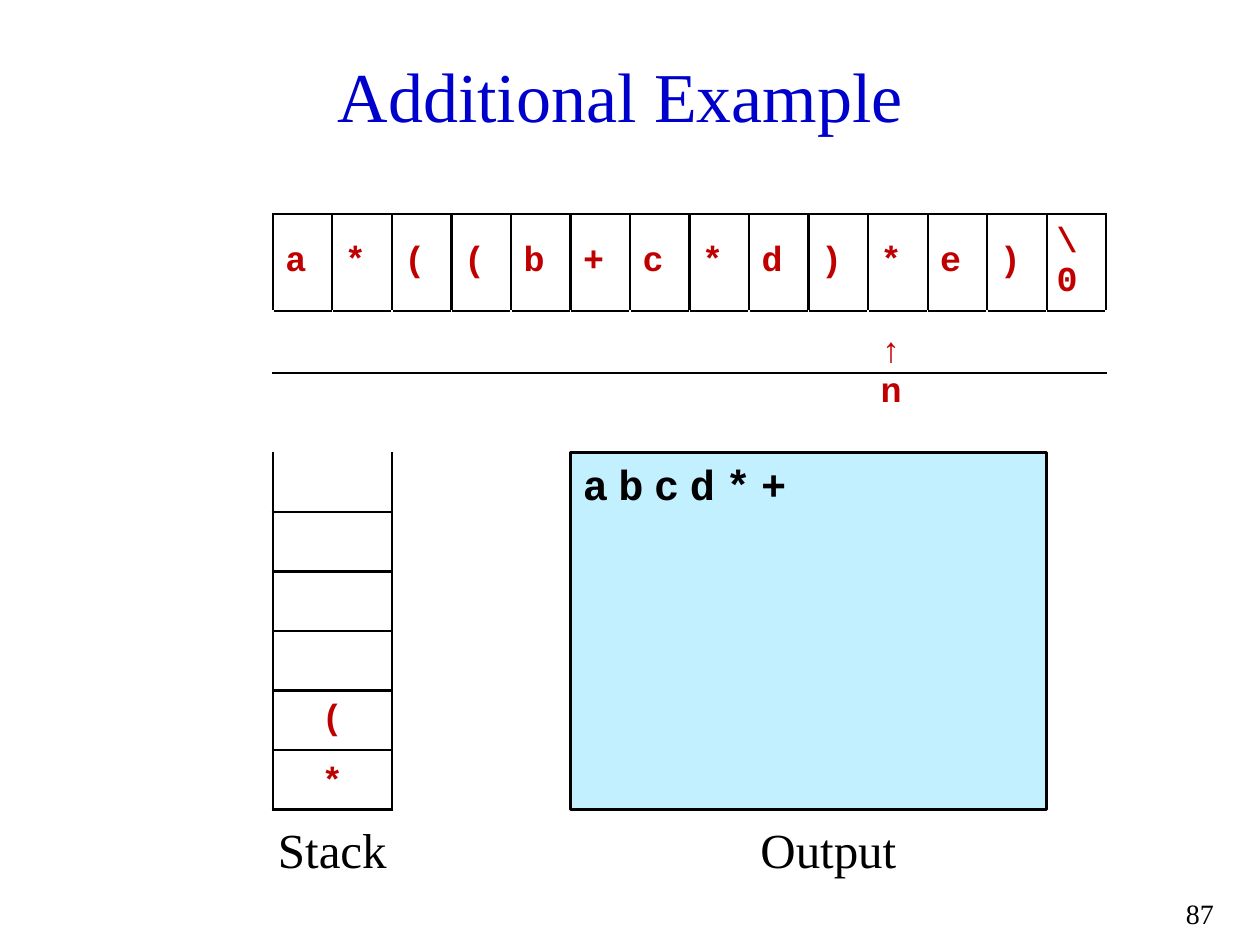
from lxml.etree import SubElement
from pptx import Presentation
from pptx.dml.color import RGBColor
from pptx.enum.shapes import MSO_SHAPE
from pptx.enum.text import MSO_ANCHOR, PP_ALIGN
from pptx.oxml.ns import qn
from pptx.util import Inches, Pt

PX = 7200  # EMU per px, 127 px to the inch
CELL = 60
LEFT, STACK_TOP = 275, 456
SERIF, MONO = "Times New Roman", "Courier New"
BLACK, RED = "000000", "C00000"


def add_text(tf, text, size, font, color, bold=False, align=PP_ALIGN.LEFT,
             anchor=MSO_ANCHOR.TOP):
    tf.word_wrap = True
    tf.vertical_anchor = anchor
    p = tf.paragraphs[0]
    p.alignment = align
    r = p.add_run()
    r.text = text
    r.font.size, r.font.name, r.font.bold = Pt(size), font, bold
    r.font.color.rgb = RGBColor.from_string(color)
    return r


def add_grid(rows, cols, x, y, w, h, borders):
    """Add a plain table; borders gives the ruled sides for a row number."""
    s = shapes.add_table(rows, cols, x * PX, y * PX, w * PX, h * PX)
    table = s.table
    table.first_row = table.horz_banding = False
    for i in range(rows):
        for j in range(cols):
            cell = table.cell(i, j)
            tcPr = cell._tc.get_or_add_tcPr()
            for side in borders(i):
                ln = SubElement(tcPr, qn(f"a:ln{side}"), w=str(Pt(1.5)))
                fill = SubElement(ln, qn("a:solidFill"))
                SubElement(fill, qn("a:srgbClr"), val=BLACK)
            cell.fill.background()
    return table


prs = Presentation()
prs.slide_width, prs.slide_height = Inches(10), Inches(7.5)
slide = prs.slides.add_slide(prs.slide_layouts[5])
shapes = slide.shapes

# Title
title = shapes.title
title.left, title.top, title.width, title.height = (v * PX for v in (34, 36, 1200, 119))
add_text(title.text_frame, "Additional Example ", 40, SERIF, "0000CC",
         align=PP_ALIGN.CENTER, anchor=MSO_ANCHOR.MIDDLE)

# Stack, open at the top
stack = add_grid(6, 1, LEFT, STACK_TOP, 2 * CELL, 6 * CELL,
                 lambda i: "LRTB" if i else "LRB")
for row, symbol, anchor in ((4, "(", MSO_ANCHOR.MIDDLE), (5, "*", MSO_ANCHOR.BOTTOM)):
    cell = stack.cell(row, 0)
    add_text(cell.text_frame, symbol, 20, MONO, RED, True, PP_ALIGN.CENTER)
    cell.vertical_anchor = anchor

# Output panel
s = shapes.add_shape(MSO_SHAPE.RECTANGLE, (LEFT + 5 * CELL) * PX, STACK_TOP * PX,
                     8 * CELL * PX, 6 * CELL * PX)
s.shadow.inherit = False
s.fill.solid()
s.fill.fore_color.rgb = RGBColor.from_string("C2F0FF")
s.line.color.rgb = RGBColor.from_string(BLACK)
s.line.width = Pt(1.5)
r = add_text(s.text_frame, "abcd*+", 24, MONO, BLACK, True)
r.font._element.set("spc", "600")

# Captions and page number
for text, x, y, w, h, size, align, anchor in (
    ("Output", 735, 816, 200, 80, 28, PP_ALIGN.CENTER, MSO_ANCHOR.MIDDLE),
    ("Stack", 255, 816, 160, 80, 28, PP_ALIGN.CENTER, MSO_ANCHOR.MIDDLE),
    ("87", 1156, 897, 80, 41, 16, PP_ALIGN.RIGHT, MSO_ANCHOR.TOP),
):
    box = shapes.add_textbox(x * PX, y * PX, w * PX, h * PX)
    add_text(box.text_frame, text, size, SERIF, BLACK, align=align, anchor=anchor)

# Input characters, with the pointer n under the current one
chars = [*"a*((b+c*d)*e)", "\\0"]
tape = add_grid(3, len(chars), LEFT, 216, len(chars) * CELL, 3 * CELL,
                lambda i: ("LRTB", "T", "")[i])
for col, char in enumerate(chars):
    cell = tape.cell(0, col)
    add_text(cell.text_frame, char, 20, MONO, RED, True)
    cell.vertical_anchor = MSO_ANCHOR.MIDDLE
cell.margin_left = cell.margin_right = 10 * PX

arrow, name = tape.cell(1, 10), tape.cell(2, 10)
for cell, text in ((arrow, "↑"), (name, "n")):
    add_text(cell.text_frame, text, 20, MONO, RED, True)
arrow.vertical_anchor = MSO_ANCHOR.BOTTOM
arrow.margin_top, arrow.margin_bottom = 20 * PX, 0
name.margin_top = 0

prs.save("out.pptx")
